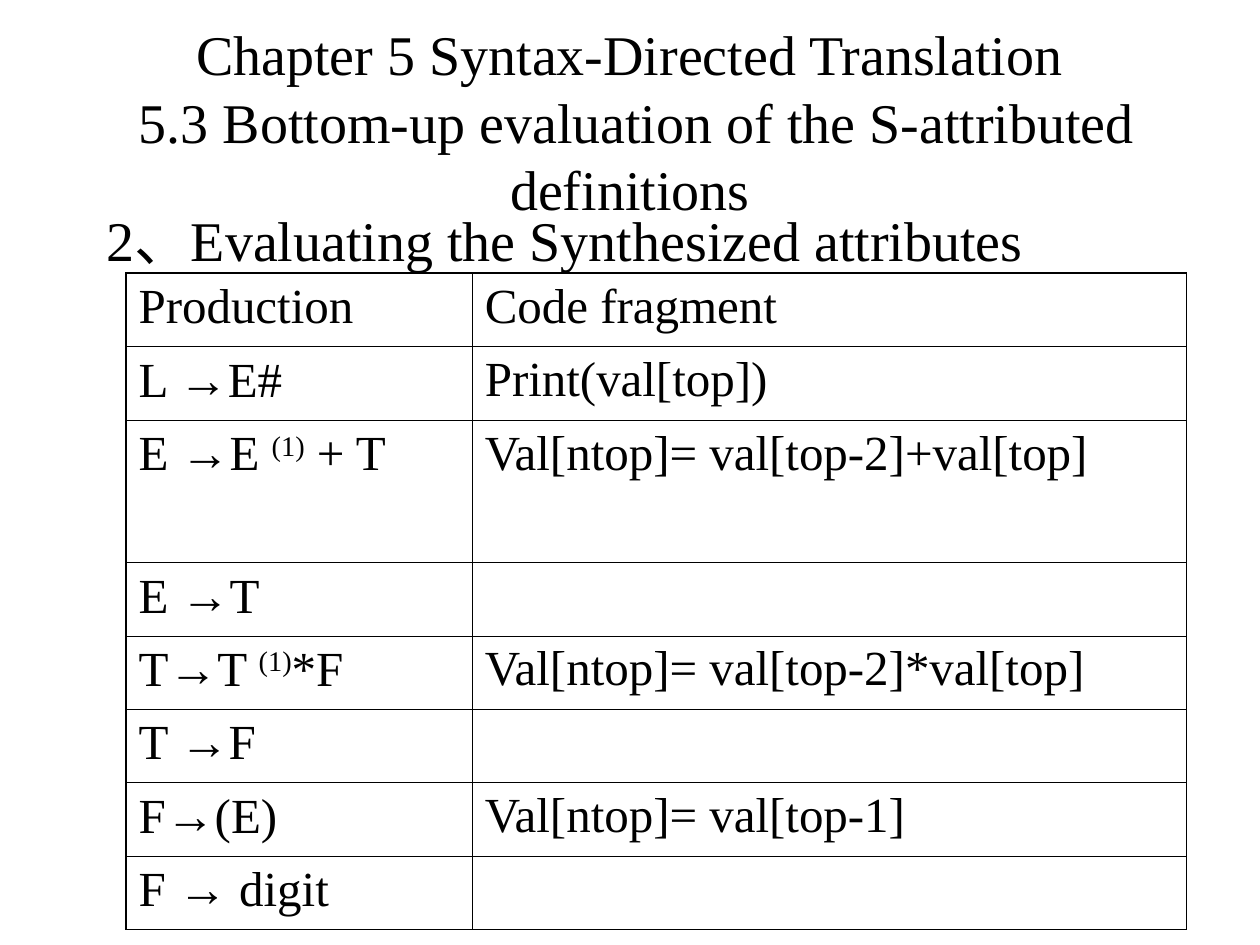
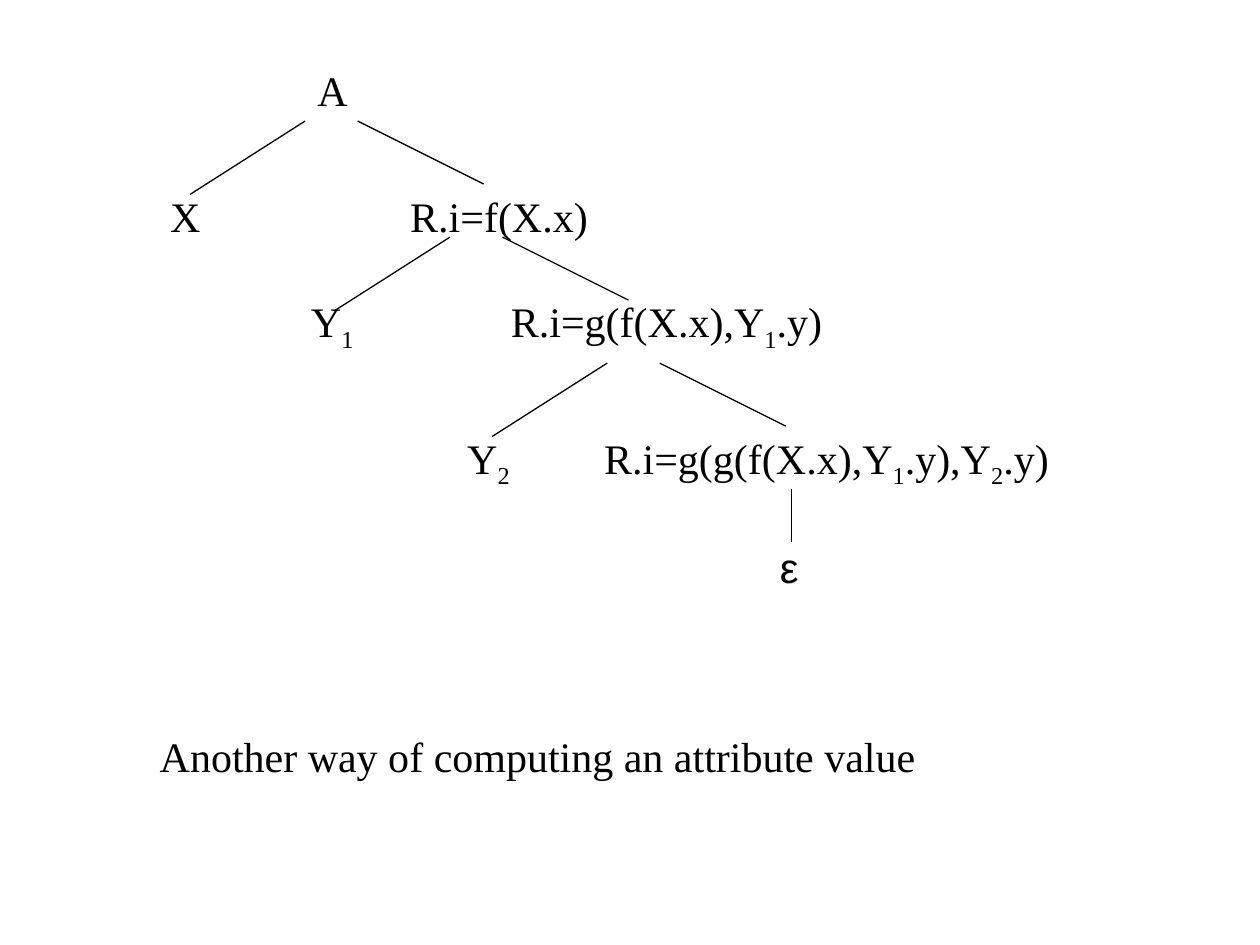
"""Build two slides on bottom-up evaluation of S-attributed definitions."""
from dataclasses import dataclass

from lxml import etree
from pptx import Presentation
from pptx import util as u
from pptx.dml.color import RGBColor
from pptx.enum import shapes, text
from pptx.oxml import parse_xml
from pptx.oxml.ns import nsdecls, qn


@dataclass(frozen=True)
class Theme:
    ink: str = "000000"
    font: str = "Times New Roman"
    symbol_font: str = "Arial"
    title_size: int = 32
    table_size: int = 28
    tree_size: int = 24
    outer_border: float = 1.08
    inner_border: float = 0.45
    branch_width: float = 0.75


theme = Theme()
baselines = {"_": "-25000", "^": "30000"}


def write(frame, content, size):
    """Fill a frame; "|" parts runs, "_" lowers a run and "^" raises it."""
    paragraph = frame.paragraphs[0]
    paragraph.font.name = theme.font
    paragraph.font.size = u.Pt(size)
    paragraph.font.color.rgb = RGBColor.from_string(theme.ink)
    for part in content.split("|"):
        if part == "\n":
            paragraph.add_line_break()
            continue
        run = paragraph.add_run()
        run.text = part.lstrip("_^")
        if part[:1] in baselines:
            run.font._element.set("baseline", baselines[part[0]])
        if part in ("→", "ε"):
            run.font.name = theme.symbol_font
    return paragraph


def add_branch(slide, x1, y1, x2, y2):
    """Draw one thin tree branch, in centimetres."""
    branch = slide.shapes.add_connector(
        shapes.MSO_CONNECTOR.STRAIGHT, u.Cm(x1), u.Cm(y1), u.Cm(x2), u.Cm(y2))
    branch.line.color.rgb = RGBColor.from_string(theme.ink)
    branch.line.width = u.Pt(theme.branch_width)
    etree.SubElement(branch._element.spPr, qn("a:effectLst"))


presentation = Presentation()
presentation.slide_width = u.Cm(25.4)
presentation.slide_height = u.Cm(19.05)

slide = presentation.slides.add_slide(presentation.slide_layouts[1])
title, body = slide.shapes.title, slide.placeholders[1]
for placeholder, left, top, width, height in (
        (title, 0, 0.43, 25.4, 4.01), (body, 1.9, 4.01, 21.6, 12.7)):
    placeholder.left, placeholder.top = u.Cm(left), u.Cm(top)
    placeholder.width, placeholder.height = u.Cm(width), u.Cm(height)
    placeholder.text_frame.auto_size = text.MSO_AUTO_SIZE.NONE

title.text_frame.vertical_anchor = text.MSO_ANCHOR.MIDDLE
paragraph = write(
    title.text_frame,
    "Chapter 5 Syntax-Directed Translation|\n|"
    " 5.3 Bottom-up evaluation of the S-attributed definitions",
    theme.title_size)
paragraph.alignment = text.PP_ALIGN.CENTER

paragraph = write(body.text_frame, "2、Evaluating the Synthesized attributes", theme.title_size)
paragraph.space_before = u.Pt(8)
paragraph._p.get_or_add_pPr().insert_element_before(
    parse_xml(f"<a:buNone {nsdecls('a')}/>"), "a:tabLst", "a:defRPr", "a:extLst")

productions = [
    ("Production", "Code fragment"),
    ("L |→|E#", "Print(val[top])"),
    ("E |→|E |^(1)| + T", "Val[ntop]= val[top-2]+val[top]"),
    ("E |→|T", ""),
    ("T|→|T |^(1)|*F", "Val[ntop]= val[top-2]*val[top]"),
    ("T |→|F", ""),
    ("F|→|(E)", "Val[ntop]= val[top-1]"),
    ("F |→| digit", ""),
]
column_widths = (6.98, 14.4)
row_heights = [1.48] * len(productions)
row_heights[2] = 2.87
table = slide.shapes.add_table(
    len(productions), 2, u.Cm(2.54), u.Cm(5.51),
    u.Cm(sum(column_widths)), u.Cm(sum(row_heights))).table
table.first_row = table.horz_banding = False
for column, width in zip(table.columns, column_widths):
    column.width = u.Cm(width)

last_row = len(productions) - 1
for row_index, production in enumerate(productions):
    table.rows[row_index].height = u.Cm(row_heights[row_index])
    for column_index, content in enumerate(production):
        cell = table.cell(row_index, column_index)
        cell.fill.background()
        if content:
            write(cell.text_frame, content, theme.table_size)
        outer_sides = {
            "lnL": column_index == 0,
            "lnR": column_index == 1,
            "lnT": row_index == 0,
            "lnB": row_index == last_row,
        }
        for position, (side, is_outer) in enumerate(outer_sides.items()):
            width = u.Pt(theme.outer_border if is_outer else theme.inner_border)
            cell._tc.get_or_add_tcPr().insert(position, parse_xml(
                f'<a:{side} {nsdecls("a")} w="{width}"><a:solidFill>'
                f'<a:srgbClr val="{theme.ink}"/></a:solidFill></a:{side}>'))

slide = presentation.slides.add_slide(presentation.slide_layouts[6])
for x, y in ((6.15, 2.44), (9.07, 4.78), (12.24, 7.32)):
    add_branch(slide, x, y, x - 2.32, y + 1.48)
    add_branch(slide, x + 1.06, y, x + 3.6, y + 1.27)
add_branch(slide, 15.95, 9.86, 15.95, 10.92)

labels = [
    ("A", 6.15, 1.17, 1.2),
    ("X", 3.18, 3.71, 1.2),
    ("R.i=f(X.x)", 8.02, 3.71, 4.2),
    ("Y|_1", 6.02, 5.84, 1.45),
    ("R.i=g(f(X.x),Y|_1|.y)", 10.05, 5.84, 6.9),
    ("Y|_2", 9.17, 8.59, 1.45),
    ("R.i=g(g(f(X.x),Y|_1|.y),Y|_2|.y)", 11.93, 8.59, 9.6),
    ("ε", 15.47, 10.8, 0.9),
    ("Another way of computing an attribute value", 2.97, 14.6, 17.98),
]
for content, left, top, width in labels:
    label = slide.shapes.add_textbox(u.Cm(left), u.Cm(top), u.Cm(width), u.Cm(1.27))
    label.text_frame.word_wrap = True
    write(label.text_frame, content, theme.tree_size)

presentation.save("out.pptx")
